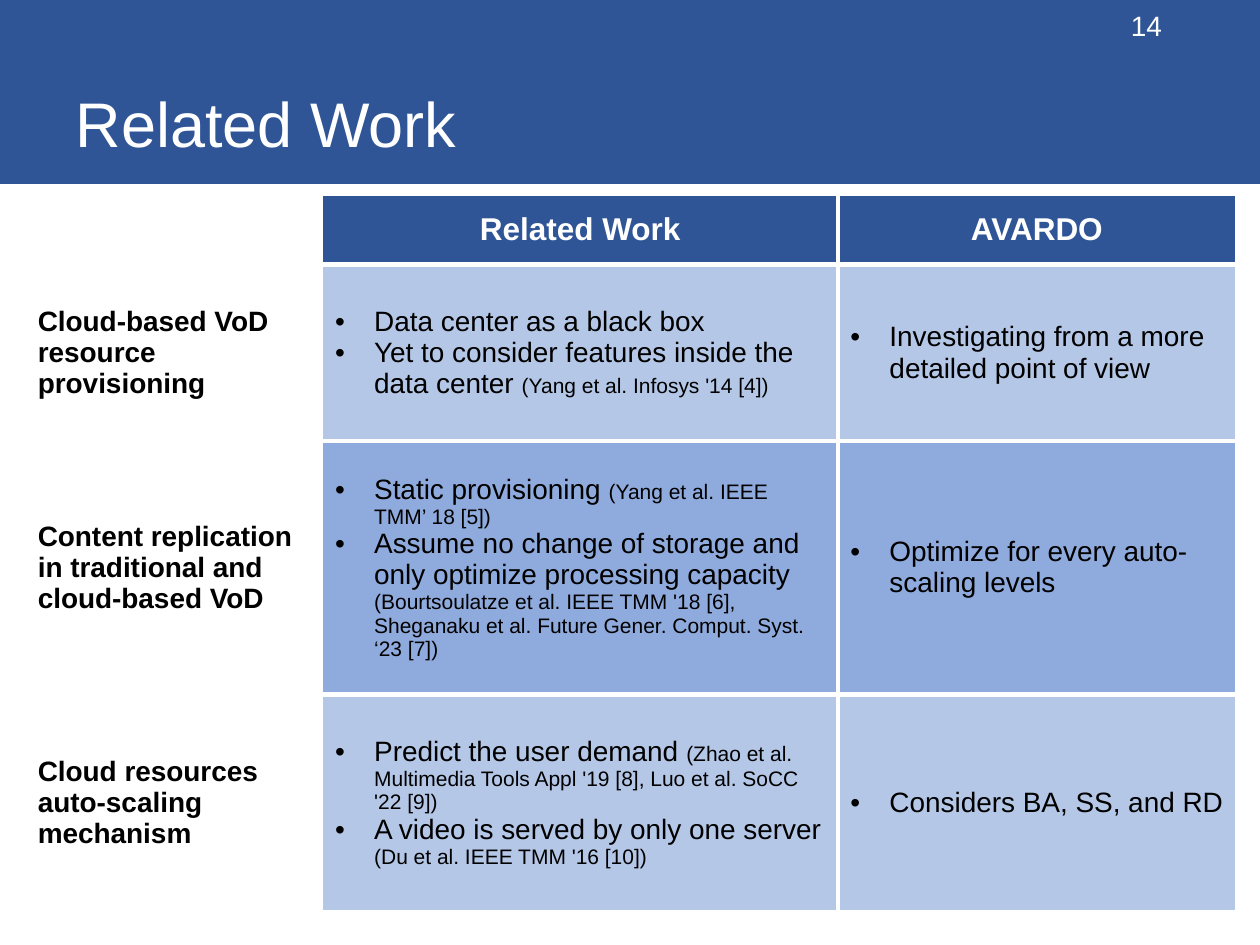
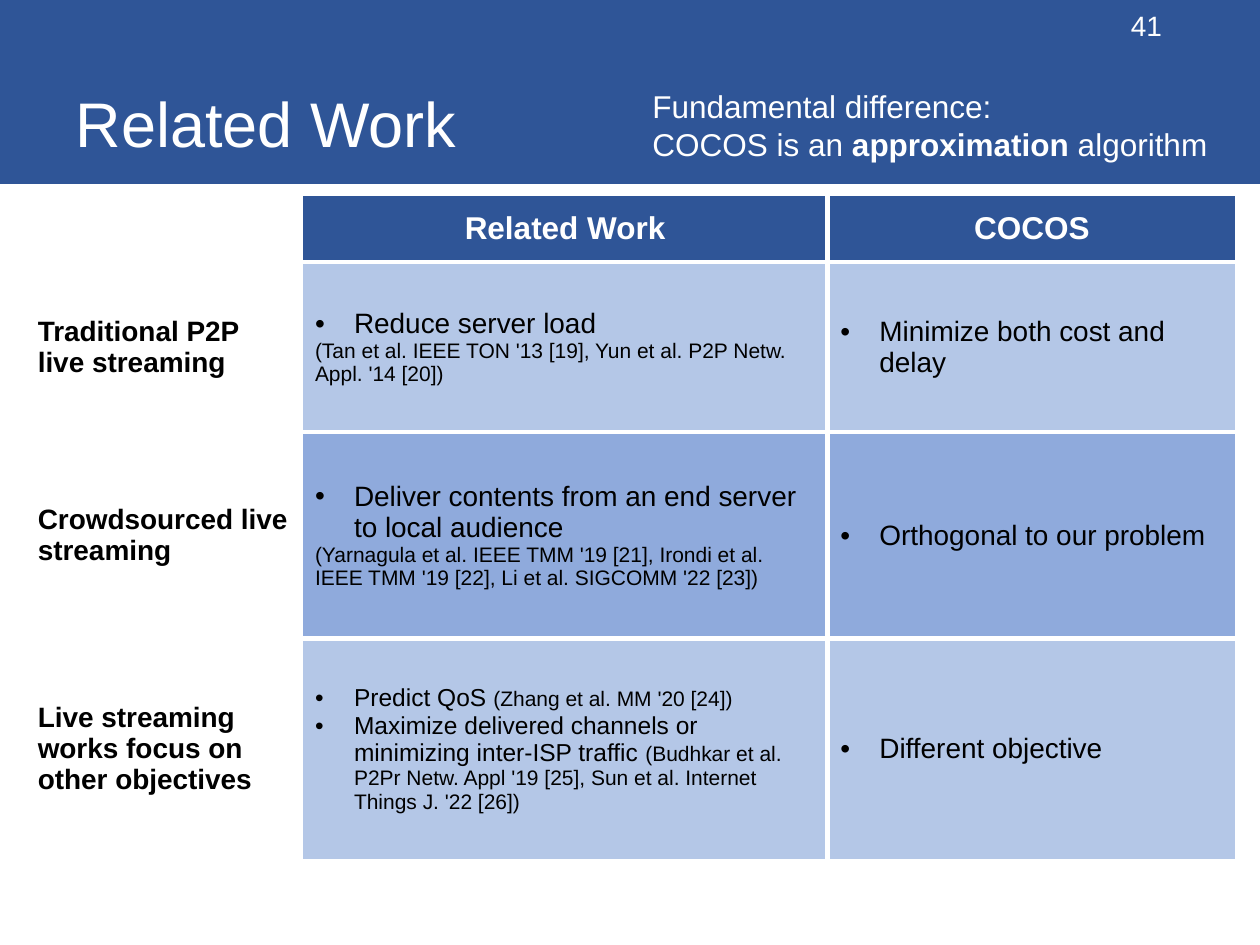
from dataclasses import dataclass

from lxml import etree
from pptx import Presentation
from pptx import util as u
from pptx.dml.color import RGBColor
from pptx.enum import shapes, text
from pptx.oxml import ns

PX = u.Inches(1) // 100  # 100 px to the inch
SLIDE_W, SLIDE_H = 1000, 750
FONT = "Arial"
WHITE = RGBColor(0xFF, 0xFF, 0xFF)
BLACK = RGBColor(0x00, 0x00, 0x00)
NAVY = RGBColor(0x2F, 0x55, 0x97)
ROW_FILLS = (RGBColor(0xB4, 0xC7, 0xE7), RGBColor(0x8F, 0xAA, 0xDC))
HANGING = 31
CITATION_SIZE = 12
THIN, THICK = 1, 3


@dataclass
class Topic:
    """One table row; prior holds (point, citation) pairs."""
    name: str
    prior: list
    ours: str
    point_size: int = 16


def px(*lengths):
    return [length * PX for length in lengths]


def add_bullet(paragraph):
    props = paragraph._p.get_or_add_pPr()
    props.set("marL", str(HANGING * PX))
    props.set("indent", str(-HANGING * PX))
    etree.SubElement(props, ns.qn("a:buFont"), typeface=FONT)
    etree.SubElement(props, ns.qn("a:buChar"), char="•")


def set_borders(cell, **widths):
    props = cell._tc.get_or_add_tcPr()
    for side in "LRTB":
        line = etree.SubElement(props, ns.qn(f"a:ln{side}"), w=str(u.Pt(widths[side])))
        fill = etree.SubElement(line, ns.qn("a:solidFill"))
        etree.SubElement(fill, ns.qn("a:srgbClr"), val=str(WHITE))


class Deck:
    def __init__(self):
        self.prs = Presentation()
        self.prs.slide_width, self.prs.slide_height = px(SLIDE_W, SLIDE_H)
        self.slide = None

    def start_slide(self, title, number):
        self.slide = self.prs.slides.add_slide(self.prs.slide_layouts[5])
        self.band()
        self.title(title)
        self.text_box((663, 0, 269, 40), [[(number, False)]], 16,
                      text.PP_ALIGN.RIGHT, text.MSO_ANCHOR.MIDDLE)

    def style(self, run, size, color=WHITE, bold=False):
        run.font.name = FONT
        run.font.size = u.Pt(size)
        run.font.color.rgb = color
        run.font.bold = bold

    def add_words(self, paragraph, words, size, color=WHITE, bold=False):
        run = paragraph.add_run()
        run.text = words
        self.style(run, size, color, bold)

    def band(self):
        band = self.slide.shapes.add_shape(
            shapes.MSO_SHAPE.RECTANGLE, *px(0, 0, SLIDE_W, 146))
        band.shadow.inherit = False
        band.fill.solid()
        band.fill.fore_color.rgb = NAVY
        band.line.fill.background()
        self.slide.shapes.title._element.addprevious(band._element)

    def title(self, words):
        title = self.slide.shapes.title
        title.left, title.top, title.width, title.height = px(50, 0, 882, 132)
        frame = title.text_frame
        frame.text = words
        frame.auto_size = text.MSO_AUTO_SIZE.NONE
        frame.vertical_anchor = text.MSO_ANCHOR.BOTTOM
        frame.paragraphs[0].alignment = text.PP_ALIGN.LEFT
        self.style(frame.paragraphs[0].runs[0], 36)

    def text_box(self, place, lines, size, align=text.PP_ALIGN.LEFT,
                 anchor=text.MSO_ANCHOR.TOP):
        """Each line is a list of (words, bold) pairs."""
        frame = self.slide.shapes.add_textbox(*px(*place)).text_frame
        frame.word_wrap = True
        frame.vertical_anchor = anchor
        for index, line in enumerate(lines):
            paragraph = frame.add_paragraph() if index else frame.paragraphs[0]
            paragraph.alignment = align
            for words, bold in line:
                self.add_words(paragraph, words, size, bold=bold)

    def points(self, cell, pairs, size):
        """Bullet each point; a citation without a point stands unbulleted."""
        frame = cell.text_frame
        for index, (point, citation) in enumerate(pairs):
            paragraph = frame.add_paragraph() if index else frame.paragraphs[0]
            if point:
                add_bullet(paragraph)
                self.add_words(paragraph, point, size, BLACK)
            if citation:
                self.add_words(paragraph, citation, CITATION_SIZE, BLACK)

    def comparison(self, method, topics, widths, heights):
        table = self.slide.shapes.add_table(
            len(heights), len(widths), *px(20, 155, sum(widths), sum(heights))).table
        table.first_row = table.horz_banding = False
        for column, width in zip(table.columns, widths):
            column.width = width * PX
        for row, height in zip(table.rows, heights):
            row.height = height * PX
        last = len(heights) - 1
        for r, row in enumerate(table.rows):
            for c, cell in enumerate(row.cells):
                cell.vertical_anchor = text.MSO_ANCHOR.MIDDLE
                set_borders(cell, L=THICK if c == 2 else THIN,
                            R=THICK if c == 1 else THIN,
                            T=THICK if r else THIN,
                            B=THICK if r < last else THIN)
                if c == 0:
                    cell.fill.background()
                else:
                    cell.fill.solid()
                    cell.fill.fore_color.rgb = ROW_FILLS[(r - 1) % 2] if r else NAVY
        for c, heading in enumerate(("Related Work", method), 1):
            paragraph = table.cell(0, c).text_frame.paragraphs[0]
            paragraph.alignment = text.PP_ALIGN.CENTER
            self.add_words(paragraph, heading, 18, bold=True)
        for r, topic in enumerate(topics, 1):
            name, prior, ours = table.rows[r].cells
            self.add_words(name.text_frame.paragraphs[0], topic.name, 16, BLACK, True)
            self.points(prior, topic.prior, topic.point_size)
            self.points(ours, [(topic.ours, "")], 16)


VOD_TOPICS = [
    Topic("Cloud-based VoD resource provisioning",
          [("Data center as a black box", ""),
           ("Yet to consider features inside the data center ",
            "(Yang et al. Infosys '14 [4])")],
          "Investigating from a more detailed point of view"),
    Topic("Content replication in traditional and cloud-based VoD",
          [("Static provisioning ", "(Yang et al. IEEE TMM’ 18 [5])"),
           ("Assume no change of storage and only optimize processing capacity ",
            "(Bourtsoulatze et al. IEEE TMM '18 [6], "
            "Sheganaku et al. Future Gener. Comput. Syst. ‘23 [7])")],
          "Optimize for every auto-scaling levels"),
    Topic("Cloud resources auto-scaling mechanism",
          [("Predict the user demand ",
            "(Zhao et al. Multimedia Tools Appl '19 [8], Luo et al. SoCC '22 [9])"),
           ("A video is served by only one server ", "(Du et al. IEEE TMM '16 [10])")],
          "Considers BA, SS, and RD"),
]

LIVE_TOPICS = [
    Topic("Traditional P2P live streaming",
          [("Reduce server load", ""),
           ("", "(Tan et al. IEEE TON '13 [19], Yun et al. P2P Netw. Appl. '14 [20])")],
          "Minimize both cost and delay"),
    Topic("Crowdsourced live streaming",
          [("Deliver contents from an end server to local audience", ""),
           ("", "(Yarnagula et al. IEEE TMM '19 [21], Irondi et al. "
                "IEEE TMM '19 [22], Li et al. SIGCOMM '22 [23])")],
          "Orthogonal to our problem"),
    Topic("Live streaming works focus on other objectives",
          [("Predict QoS ", "(Zhang et al. MM '20 [24])"),
           ("Maximize delivered channels or minimizing inter-ISP traffic ",
            "(Budhkar et al. P2Pr Netw. Appl '19 [25], "
            "Sun et al. Internet Things J. '22 [26])")],
          "Different objective", point_size=14),
]


def main():
    deck = Deck()

    deck.start_slide("Related Work", "14")
    deck.comparison("AVARDO", VOD_TOPICS, (236, 409, 316), (55, 140, 201, 172))

    deck.start_slide("Related Work", "41")
    deck.comparison("COCOS", LIVE_TOPICS, (220, 417, 324), (53, 135, 164, 175))
    deck.text_box((508, 64, 480, 71),
                  [[("Fundamental difference:", False)],
                   [("COCOS is an ", False), ("approximation ", True),
                    ("algorithm", False)]], 18)

    deck.prs.save("out.pptx")


if __name__ == "__main__":
    main()
